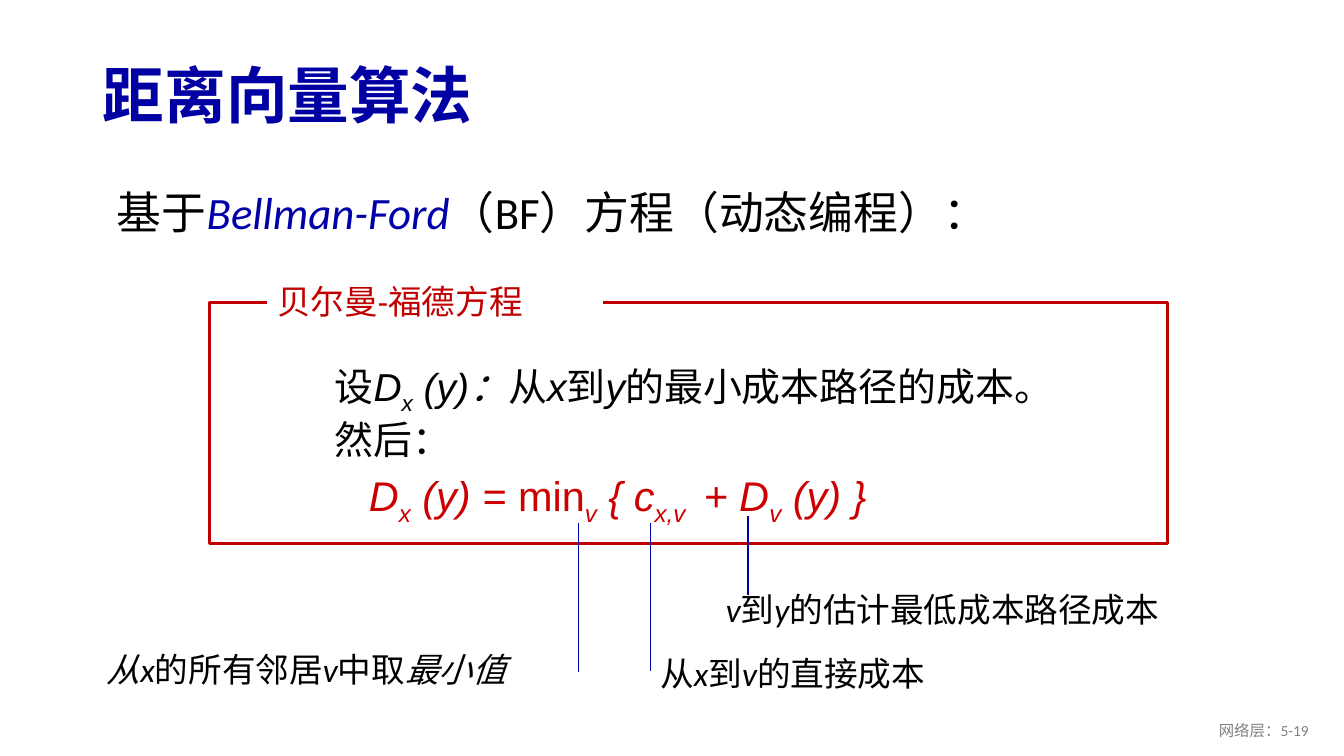
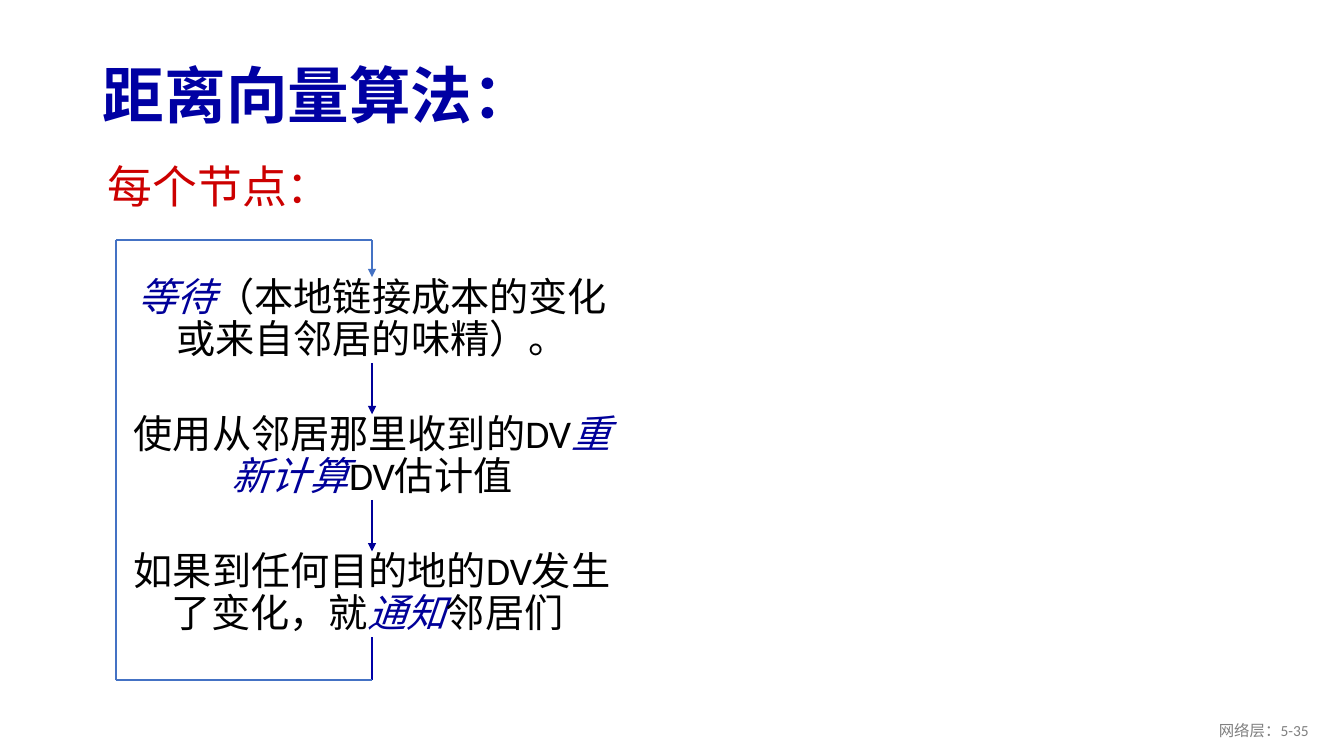
"""Builds two slides on the distance vector algorithm."""
from dataclasses import dataclass, replace
from typing import Optional, Sequence

from lxml import etree
from pptx import Presentation
from pptx import util as u
from pptx.dml import color as dml
from pptx.enum import lang, shapes, text
from pptx.oxml import ns


def rgb(code: str) -> dml.RGBColor:
    return dml.RGBColor.from_string(code)


@dataclass(frozen=True)
class Theme:
    face: str = "Calibri"
    math: str = "Arial"
    ink: str = "000000"
    title: str = "0000A3"
    navy: str = "0000A8"
    deep: str = "000099"
    red: str = "CC0000"
    frame: str = "C00000"
    loop: str = "4472C4"
    gray: str = "808080"
    white: str = "FFFFFF"
    head: float = 44
    lead: float = 32
    step: float = 28
    cost: float = 27.8
    form: float = 29.6
    note: float = 24
    foot: float = 11


T = Theme()


@dataclass(frozen=True)
class Box:
    x: float
    y: float
    w: float
    h: float


@dataclass(frozen=True)
class Style:
    size: float
    color: str = T.ink
    face: str = T.face
    bold: bool = False
    align: text.PP_ALIGN = text.PP_ALIGN.LEFT
    space: float = 1.0
    before: float = 0
    left: float = 0
    first: float = 0


@dataclass(frozen=True)
class Run:
    words: str
    slant: bool = False
    color: Optional[str] = None
    sub: bool = False


@dataclass(frozen=True)
class Note:
    box: Box
    runs: Sequence[Run]
    x: float
    top: float
    end: float


HEAD = Style(T.head, T.title, bold=True, space=0.9)
FOOT = Style(T.foot, T.gray, align=text.PP_ALIGN.RIGHT)
LEAD = Style(T.lead, space=0.8, before=10, left=0.14)
COST = Style(T.cost, face=T.math, space=0.8, before=10, left=0.39, first=-0.24)
FORM = replace(COST, size=T.form, color=T.red, left=0.49, first=0)
NOTE = Style(T.note)
STEP = Style(T.step, align=text.PP_ALIGN.CENTER, space=0.9)


def write(para, runs: Sequence[Run], style: Style) -> None:
    """Fill one paragraph run by run."""
    para.alignment = style.align
    para.line_spacing = style.space
    para.space_before = u.Pt(style.before)
    props = para._p.get_or_add_pPr()
    props.set("marL", str(u.Inches(style.left)))
    props.set("indent", str(u.Inches(style.first)))
    etree.SubElement(props, ns.qn("a:buNone"))
    for item in runs:
        run = para.add_run()
        run.text = item.words
        font = run.font
        font.name, font.size = style.face, u.Pt(style.size)
        font.bold, font.italic = style.bold, item.slant
        font.color.rgb = rgb(item.color or style.color)
        font.language_id = lang.MSO_LANGUAGE_ID.SIMPLIFIED_CHINESE
        if item.sub:
            run._r.get_or_add_rPr().set("baseline", "-25000")


def place(shape, box: Box) -> None:
    """Move and size a shape."""
    shape.left, shape.top = u.Inches(box.x), u.Inches(box.y)
    shape.width, shape.height = u.Inches(box.w), u.Inches(box.h)


def fill(shape, box: Box, runs: Sequence[Run], style: Style,
         anchor: text.MSO_ANCHOR = text.MSO_ANCHOR.TOP):
    """Place a text shape and write its first paragraph."""
    place(shape, box)
    frame = shape.text_frame
    frame.word_wrap = True
    frame.auto_size = text.MSO_AUTO_SIZE.NONE
    frame.vertical_anchor = anchor
    write(frame.paragraphs[0], runs, style)
    return shape


def label(slide, box: Box, runs: Sequence[Run], style: Style,
          anchor: text.MSO_ANCHOR = text.MSO_ANCHOR.TOP):
    """Add a text box."""
    return fill(slide.shapes.add_textbox(0, 0, 0, 0), box, runs, style, anchor)


def line(slide, x1: float, y1: float, x2: float, y2: float,
         color: str, width: float = 1.5, arrow: bool = False):
    """Add a straight line, with an arrowhead at its end if wanted."""
    link = slide.shapes.add_connector(
        shapes.MSO_CONNECTOR.STRAIGHT, *map(u.Inches, (x1, y1, x2, y2)))
    link.line.color.rgb = rgb(color)
    link.line.width = u.Pt(width)
    if arrow:
        tail = etree.SubElement(link.line._get_or_add_ln(), ns.qn("a:tailEnd"))
        tail.set("type", "triangle")
    etree.SubElement(link._element.spPr, ns.qn("a:effectLst"))
    return link


def start(deck, layout: int, title: str, page: str):
    """Add a slide with its title and footer."""
    slide = deck.slides.add_slide(deck.slide_layouts[layout])
    fill(slide.shapes.title, Box(0.92, 0.49, 11.5, 0.98), [Run(title)], HEAD,
         text.MSO_ANCHOR.MIDDLE)
    label(slide, Box(10.08, 7.05, 3, 0.4), [Run(f"网络层：{page}")], FOOT,
          text.MSO_ANCHOR.MIDDLE)
    return slide


def bellman(deck) -> None:
    """Draw the equation slide."""
    slide = start(deck, 1, "距离向量算法", "5-19")
    fill(slide.placeholders[1], Box(0.92, 1.89, 11.83, 0.57), [
        Run("基于"), Run("Bellman-Ford", True, T.navy),
        Run("（BF）方程（动态编程）："),
    ], LEAD)

    panel = slide.shapes.add_shape(shapes.MSO_SHAPE.RECTANGLE, 0, 0, 0, 0)
    place(panel, Box(2.08, 3, 9.5, 2.39))
    panel.shadow.inherit = False
    panel.fill.background()
    panel.line.color.rgb = rgb(T.frame)
    panel.line.width = u.Pt(2)
    name = label(slide, Box(2.65, 2.74, 3.33, 0.5), [Run("贝尔曼-福德方程")],
                 Style(T.note, T.frame))
    name.fill.solid()
    name.fill.fore_color.rgb = rgb(T.white)

    proof = label(slide, Box(3.07, 3.6, 8.7, 2.16), [
        Run("设"), Run("D", True), Run("x", True, sub=True),
        Run(" (y)：", True), Run("从"), Run("x", True), Run("到"),
        Run("y", True), Run("的最小成本路径的成本。"),
    ], COST).text_frame
    write(proof.add_paragraph(), [Run("然后：")], COST)
    write(proof.add_paragraph(), [
        Run("D", True), Run("x", True, sub=True), Run(" (y) = ", True),
        Run("min"), Run("v", True, sub=True), Run(" { c", True),
        Run("x,v ", True, sub=True), Run(" + D", True),
        Run("v", True, sub=True), Run(" (y) }", True),
    ], FORM)

    notes = [
        Note(Box(0.96, 6.39, 4.86, 0.5), [
            Run("从x", True), Run("的所有邻居"), Run("v", True),
            Run("中取"), Run("最小值", True)], 5.74, 5.19, 6.67),
        Note(Box(7.1, 5.79, 5.31, 0.5), [
            Run("v", True), Run("到"), Run("y", True),
            Run("的估计最低成本路径成本")], 7.42, 5.12, 5.9),
        Note(Box(6.45, 6.43, 4.08, 0.5), [
            Run("从"), Run("x", True), Run("到"), Run("v", True),
            Run("的直接成本")], 6.45, 5.19, 6.66),
    ]
    for note in notes:
        label(slide, note.box, note.runs, NOTE)
        line(slide, note.x, note.top, note.x, note.end, T.navy, 1)


def cycle(deck) -> None:
    """Draw the slide with the loop each node runs."""
    slide = start(deck, 5, "距离向量算法：", "5-35")
    lead = label(slide, Box(1.07, 1.53, 2.22, 0.64), [Run("每个节点：")],
                 Style(T.lead, T.red, align=text.PP_ALIGN.CENTER))
    lead.text_frame.word_wrap = False

    steps = [
        [Run("等待", True, T.deep),
         Run("（本地链接成本的变化或来自邻居的味精）。")],
        [Run("使用从邻居那里收到的DV"), Run("重新计算", True, T.deep),
         Run("DV估计值")],
        [Run("如果到任何目的地的DV发生了变化，就"),
         Run("通知", True, T.deep), Run("邻居们 ")],
    ]
    left, top, wide, high, pitch = 1.17, 2.75, 5.04, 0.85, 1.36
    mid = left + wide / 2
    boxes = []
    for row, runs in enumerate(steps):
        box = label(slide, Box(left, top + row * pitch, wide, high), runs, STEP)
        box.text_frame.margin_top = box.text_frame.margin_bottom = 0
        boxes.append(box)
    for above, below in zip(boxes, boxes[1:]):
        link = line(slide, mid, top, mid, top, T.deep, arrow=True)
        link.begin_connect(above, 2)
        link.end_connect(below, 0)

    side, roof, floor = 1.15, 2.38, 6.75
    down = line(slide, mid, floor, mid, floor, T.navy)
    down.begin_connect(boxes[-1], 2)
    line(slide, mid, floor, side, floor, T.loop)
    line(slide, side, floor, side, roof, T.loop)
    line(slide, side, roof, mid, roof, T.loop)
    back = line(slide, mid, roof, mid, top, T.loop, arrow=True)
    back.end_connect(boxes[0], 0)


def main() -> None:
    deck = Presentation()
    deck.slide_width, deck.slide_height = u.Inches(13.33), u.Inches(7.5)
    bellman(deck)
    cycle(deck)
    deck.save("out.pptx")


if __name__ == "__main__":
    main()
